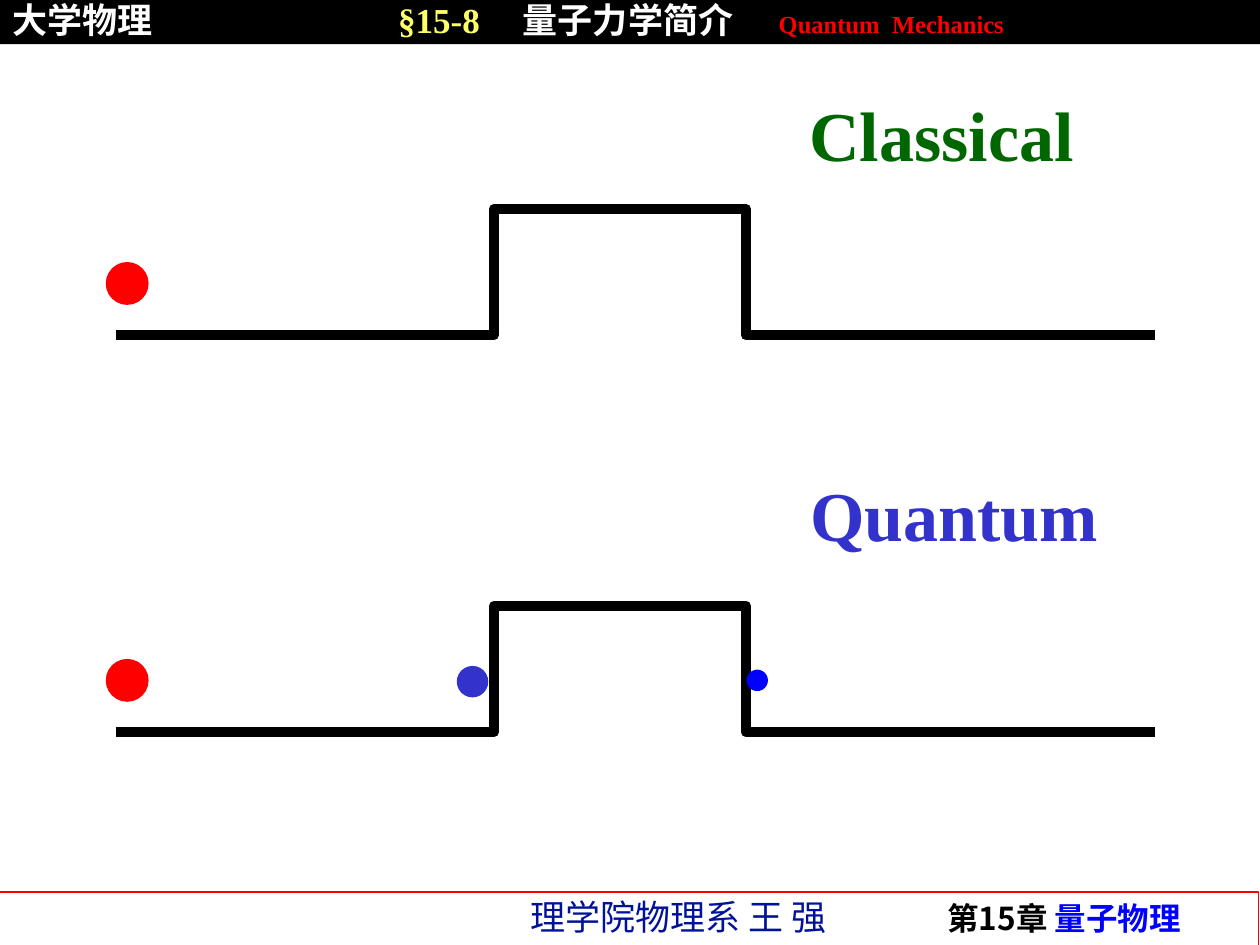
from pptx import Presentation
from pptx.dml.color import RGBColor
from pptx.enum.shapes import MSO_SHAPE as Kind
from pptx.enum.text import MSO_ANCHOR as Anchor, MSO_AUTO_SIZE as Fit, PP_ALIGN as Align
from pptx.oxml.ns import qn
from pptx.util import Inches, Pt
from lxml.etree import SubElement

BLACK = RGBColor(0, 0, 0)
WHITE = RGBColor(255, 255, 255)
RED = RGBColor(255, 0, 0)
YELLOW = RGBColor(0xFF, 0xFF, 0x66)
GREEN = RGBColor(0, 0x66, 0)
INDIGO = RGBColor(0x33, 0x33, 0xCC)
BLUE = RGBColor(0, 0, 0xFF)
NAVY = RGBColor(0, 0x12, 0x9A)

HAN, ROMAN = "Noto Sans CJK SC", "Times New Roman"
WIDTH, HEIGHT = 10, 7.5

# Runs are (text, size, font, colour)
HEAD = [
    ("大学物理", 20, HAN, WHITE),
    ("\t§15-8", 20, ROMAN, YELLOW),
    ("\t量子力学简介", 20, HAN, WHITE),
    ("\tQuantum\tMechanics", 14, ROMAN, RED),
]
STOPS = [3.06, 4.05, 6.08, 6.98]
AUTHOR = [("理学院物理系 王 强", 20, HAN, NAVY)]
CHAPTER = [("第15章", 18, HAN, BLACK), (" 量子物理", 18, HAN, BLUE)]

# Ground level, label, label colour, label top, label right edge
SCENES = [
    (2.66, "Classical", GREEN, 0.68, 8.62),
    (5.81, "Quantum", INDIGO, 3.69, 8.81),
]
LABEL = 2.5
LEFT, RISE, FALL, RIGHT = 0.92, 3.92, 5.92, 9.17
STEP = 1
# Balls are (centre x, centre y, diameter, colour)
WAVES = [(6.01, 5.4, 0.17, BLUE), (3.75, 5.41, 0.25, INDIGO)]


def write(shape, runs, bold=True, align=Align.LEFT, wrap=True, anchor=Anchor.TOP,
          space=1, fit=Fit.NONE, stops=()):
    frame = shape.text_frame
    frame.word_wrap, frame.auto_size = wrap, fit
    frame.vertical_anchor = anchor
    para = frame.paragraphs[0]
    para.alignment, para.line_spacing = align, space
    if stops:
        tabs = SubElement(para._p.get_or_add_pPr(), qn("a:tabLst"))
        for stop in stops:
            SubElement(tabs, qn("a:tab"), pos=str(Inches(stop)), algn="l")
    for text, size, face, color in runs:
        run = para.add_run()
        run.text = text
        font = run.font
        font.size, font.name, font.bold = Pt(size), face, bold
        font.color.rgb = color
        SubElement(run._r.get_or_add_rPr(), qn("a:ea"), typeface=face)


def add_text(slide, box, runs, **style):
    write(slide.shapes.add_textbox(*map(Inches, box)), runs, **style)


def add_form(slide, kind, box, fill, line=None):
    shape = slide.shapes.add_shape(kind, *map(Inches, box))
    shape.shadow.inherit = False
    shape.fill.solid()
    shape.fill.fore_color.rgb = fill
    if line is None:
        shape.line.fill.background()
    else:
        shape.line.color.rgb = line
        shape.line.width = Pt(0.75)


def add_ball(slide, x, y, size, fill, line=None):
    add_form(slide, Kind.OVAL, (x - size / 2, y - size / 2, size, size), fill, line)


def add_wall(slide, ground):
    """Draw the potential barrier standing on the given ground level."""
    top = ground - STEP
    spots = [(LEFT, ground), (RISE, ground), (RISE, top),
             (FALL, top), (FALL, ground), (RIGHT, ground)]
    start, *rest = [(Inches(x), Inches(y)) for x, y in spots]
    path = slide.shapes.build_freeform(*start)
    path.add_line_segments(rest, close=False)
    wall = path.convert_to_shape()
    wall.shadow.inherit = False
    wall.fill.background()
    wall.line.color.rgb = BLACK
    wall.line.width = Pt(6)


def main():
    deck = Presentation()
    deck.slide_width, deck.slide_height = Inches(WIDTH), Inches(HEIGHT)
    slide = deck.slides.add_slide(deck.slide_layouts[5])

    head = slide.shapes.title
    head.left, head.top = 0, 0
    head.width, head.height = Inches(WIDTH), Inches(0.35)
    head.fill.solid()
    head.fill.fore_color.rgb = BLACK
    write(head, HEAD, anchor=Anchor.MIDDLE, space=0.8, stops=STOPS)
    head.text_frame.margin_top = Inches(0.07)

    add_form(slide, Kind.RECTANGLE, (-0.01, 7.08, WIDTH, 0.43), WHITE, RED)
    add_text(slide, (4.11, 7.06, 2.7, 0.44), AUTHOR, bold=False, wrap=False,
             fit=Fit.SHAPE_TO_FIT_TEXT)
    add_text(slide, (6.9, 7.14, 3.09, 0.34), CHAPTER, align=Align.CENTER,
             space=0.8, fit=Fit.SHAPE_TO_FIT_TEXT)

    for ground, name, color, top, right in SCENES:
        add_wall(slide, ground)
        add_ball(slide, 1.01, ground - 0.41, 0.33, RED, RED)
        add_text(slide, (right - LABEL, top, LABEL, 0.77),
                 [(name, 40, ROMAN, color)], align=Align.RIGHT)
    for wave in WAVES:
        add_ball(slide, *wave)

    deck.save("out.pptx")


if __name__ == "__main__":
    main()
